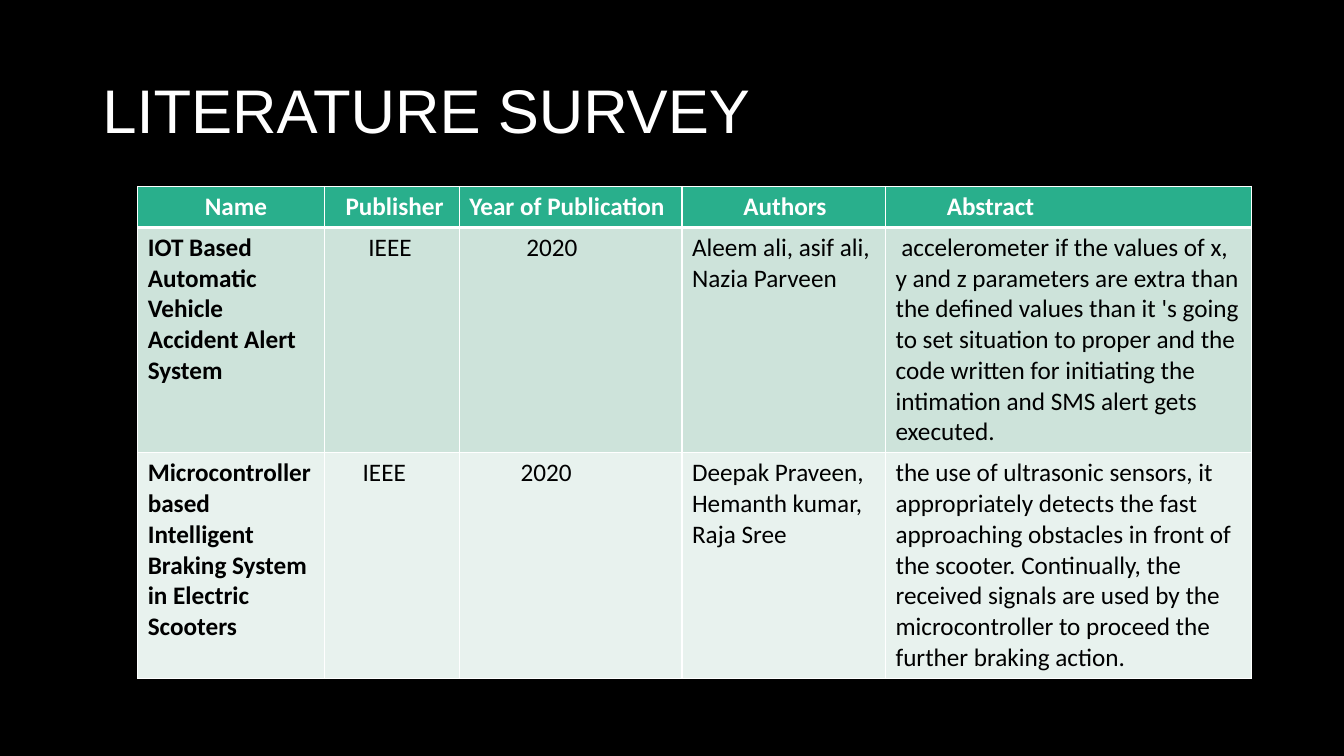
from lxml import etree
from pptx import Presentation
from pptx.dml.color import RGBColor
from pptx.enum.text import MSO_ANCHOR
from pptx.oxml.ns import qn
from pptx.util import Pt

MIDDLE = MSO_ANCHOR.MIDDLE
BLACK = RGBColor(0x00, 0x00, 0x00)
WHITE = RGBColor(0xFF, 0xFF, 0xFF)
GREEN = RGBColor(0x29, 0xAF, 0x8C)
MINT = RGBColor(0xCD, 0xE3, 0xDA)
PALE_MINT = RGBColor(0xE8, 0xF2, 0xEE)

CELL_MARGIN = 7.2
COLUMN_WIDTHS = [133.2, 96.5, 159.1, 145.4, 261.4]
ROW_HEIGHTS = [29.2, 161, 161]
ROW_FILLS = [GREEN, MINT, PALE_MINT]
# Extra left space of each cell
CELL_INDENTS = [
    [40.7, 8.1, 0, 36.6, 36.6],
    [0, 24.4, 40.7, 0, 0],
    [0, 20.3, 36.6, 0, 0],
]
SURVEY = [
    ["Name", "Publisher", "Year of Publication", "Authors", "Abstract"],
    [
        "IOT Based Automatic Vehicle Accident Alert System",
        "IEEE",
        "2020",
        "Aleem ali, asif ali,\nNazia Parveen",
        " accelerometer if the values of x, y and z parameters are extra than "
        "the defined values than it 's going to set situation to proper and the "
        "code written for initiating the intimation and SMS alert gets executed.",
    ],
    [
        "Microcontroller based Intelligent Braking System in Electric Scooters",
        "IEEE",
        "2020",
        "Deepak Praveen,\nHemanth kumar,\nRaja Sree",
        "the use of ultrasonic sensors, it appropriately detects the fast "
        "approaching obstacles in front of the scooter. Continually, the received "
        "signals are used by the microcontroller to proceed the further braking action.",
    ],
]


def write_text(frame, text, font="Calibri", size=18, color=BLACK, bold=False, spacing=1.0):
    """Fill a text frame, one paragraph for each line of text."""
    frame.word_wrap = True
    frame.text = text
    for para in frame.paragraphs:
        para.line_spacing = spacing
        for span in para.runs:
            span.font.name = font
            span.font.size = Pt(size)
            span.font.bold = bold
            span.font.color.rgb = color


def add_border(cell, side, width):
    properties = cell._tc.get_or_add_tcPr()
    line = etree.SubElement(properties, qn(f"a:ln{side}"), w=str(Pt(width)))
    fill = etree.SubElement(line, qn("a:solidFill"))
    etree.SubElement(fill, qn("a:srgbClr"), val=str(WHITE))


deck = Presentation()
deck.slide_width, deck.slide_height = Pt(960), Pt(540)
page = deck.slides.add_slide(deck.slide_layouts[6])
page.background.fill.solid()
page.background.fill.fore_color.rgb = BLACK

title_box = page.shapes.add_textbox(Pt(66), Pt(28.8), Pt(828), Pt(104.4))
title_box.text_frame.vertical_anchor = MIDDLE
write_text(title_box.text_frame, "LITERATURE SURVEY", font="Arial", size=44,
           color=WHITE, spacing=0.9)

table = page.shapes.add_table(
    len(SURVEY), len(COLUMN_WIDTHS), Pt(98.4), Pt(133.2),
    Pt(sum(COLUMN_WIDTHS)), Pt(sum(ROW_HEIGHTS))).table
for column, width in zip(table.columns, COLUMN_WIDTHS):
    column.width = Pt(width)

for row_index, texts in enumerate(SURVEY):
    table.rows[row_index].height = Pt(ROW_HEIGHTS[row_index])
    is_header = row_index == 0
    for column_index, text in enumerate(texts):
        cell = table.cell(row_index, column_index)
        cell.margin_left = Pt(CELL_MARGIN + CELL_INDENTS[row_index][column_index])
        write_text(cell.text_frame, text, color=WHITE if is_header else BLACK,
                   bold=is_header or column_index == 0)
        top_width = 3 if row_index == 1 else 1
        bottom_width = 3 if is_header else 1
        for side, width in zip("LRTB", (1, 1, top_width, bottom_width)):
            add_border(cell, side, width)
        cell.fill.solid()
        cell.fill.fore_color.rgb = ROW_FILLS[row_index]

deck.save("out.pptx")
